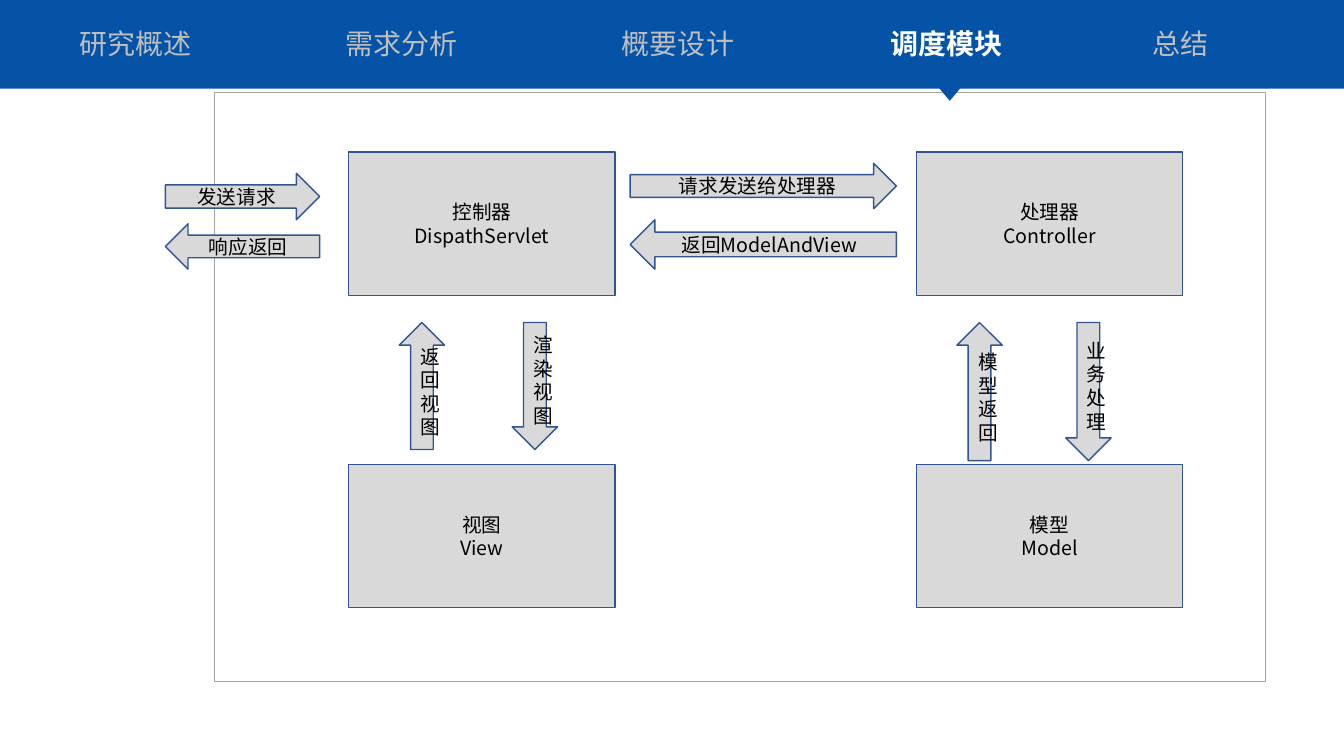
from dataclasses import dataclass

from lxml.etree import SubElement
from pptx import Presentation
from pptx.dml.color import RGBColor
from pptx.enum.shapes import MSO_SHAPE as Shape
from pptx.enum.text import MSO_ANCHOR as Anchor, MSO_AUTO_SIZE as AutoSize, PP_ALIGN as Align
from pptx.oxml.ns import qn
from pptx.util import Inches, Pt


@dataclass(frozen=True)
class Theme:
    font: str = "Noto Sans CJK SC"
    nav_size: int = 20
    body_size: int = 14
    navy: str = "0553A7"
    outline: str = "325491"
    panel: str = "D9D9D9"
    frame: str = "A5A5A5"
    muted: str = "BFBFBF"
    white: str = "FFFFFF"
    black: str = "000000"


class Sketch:
    """Draws on one page; lengths are grid cells, ten to the inch."""

    CELL = Inches(0.1)

    def __init__(self, page, theme):
        self.page = page
        self.theme = theme

    def grid(self, *cells):
        return [round(cell * self.CELL) for cell in cells]

    def shape(self, kind, place, fill=None, line=None, weight=1):
        item = self.page.shapes.add_shape(kind, *self.grid(*place))
        item.shadow.inherit = False
        if fill:
            item.fill.solid()
            item.fill.fore_color.rgb = RGBColor.from_string(fill)
        else:
            item.fill.background()
        if line:
            item.line.color.rgb = RGBColor.from_string(line)
            item.line.width = Pt(weight)
        else:
            item.line.fill.background()
        return item

    def add_span(self, para, text, size, color, bold=False):
        span = para.add_run()
        span.text = text
        span.font.size = Pt(size)
        span.font.bold = bold
        span.font.color.rgb = RGBColor.from_string(color)
        span.font.name = self.theme.font
        SubElement(span.font._element, qn("a:ea"), typeface=self.theme.font)

    def block(self, kind, place, *lines):
        theme = self.theme
        frame = self.shape(kind, place, theme.panel, theme.outline).text_frame
        frame.word_wrap = True
        frame.vertical_anchor = Anchor.MIDDLE
        for index, text in enumerate(lines):
            para = frame.add_paragraph() if index else frame.paragraphs[0]
            para.alignment = Align.CENTER
            self.add_span(para, text, theme.body_size, theme.black)

    def nav_label(self, place, text, active):
        theme = self.theme
        frame = self.page.shapes.add_textbox(*self.grid(*place)).text_frame
        frame.word_wrap = True
        frame.auto_size = AutoSize.SHAPE_TO_FIT_TEXT
        color = theme.white if active else theme.muted
        self.add_span(frame.paragraphs[0], text, theme.nav_size, color, active)


def main():
    deck = Presentation()
    deck.slide_width, deck.slide_height = Inches(13.33), Inches(7.5)
    theme = Theme()
    sketch = Sketch(deck.slides.add_slide(deck.slide_layouts[6]), theme)

    # Frame around the server side
    sketch.shape(Shape.RECTANGLE, (21.3, 9.2, 104.2, 58.4), line=theme.frame, weight=0.5)

    # Four components in two columns and two rows
    columns, rows = (34.6, 90.9), (15.1, 46.1)
    width, height = 26.4, 14.2
    components = [
        (0, 0, "控制器", "DispathServlet"),
        (1, 0, "处理器", "Controller"),
        (1, 1, "模型", "Model"),
        (0, 1, "视图", "View"),
    ]
    for column, row, title, name in components:
        sketch.block(Shape.RECTANGLE, (columns[column], rows[row], width, height), title, name)

    # Horizontal arrows: client to controller, controller to handler
    client, middle = (16.4, 15.3), (62.5, width)
    for kind, (left, length), top, thick, label in [
        (Shape.RIGHT_ARROW, client, 17.2, 4.6, "发送请求"),
        (Shape.LEFT_ARROW, client, 22.2, 4.5, "响应返回"),
        (Shape.RIGHT_ARROW, middle, 16.2, 4.5, "请求发送给处理器"),
        (Shape.LEFT_ARROW, middle, 21.8, 4.9, "返回ModelAndView"),
    ]:
        sketch.block(kind, (left, top, length, thick), label)

    # Vertical arrows between the two rows
    for kind, left, length, label in [
        (Shape.UP_ARROW, 39.6, 12.6, "返回视图"),
        (Shape.DOWN_ARROW, 50.8, 12.6, "渲染视图"),
        (Shape.UP_ARROW, 94.9, 13.7, "模型返回"),
        (Shape.DOWN_ARROW, 105.7, 13.7, "业务处理"),
    ]:
        sketch.block(kind, (left, 32, 4.5, length), label)

    # Navigation bar with a marker below the current section
    sketch.shape(Shape.RECTANGLE, (0, 0, 133.3, 8.8), theme.navy)
    current = "调度模块"
    sections = {"研究概述": 6.9, "需求分析": 33.3, "概要设计": 60.7, current: 87.3, "总结": 113.3}
    for text, left in sections.items():
        sketch.nav_label((left, 2.1, 18, 4.4), text, text == current)
    marker = sketch.shape(Shape.ISOSCELES_TRIANGLE, (92.6, 8.1, 3.2, 1.9), theme.navy)
    marker.rotation = 180

    deck.save("out.pptx")


if __name__ == "__main__":
    main()
